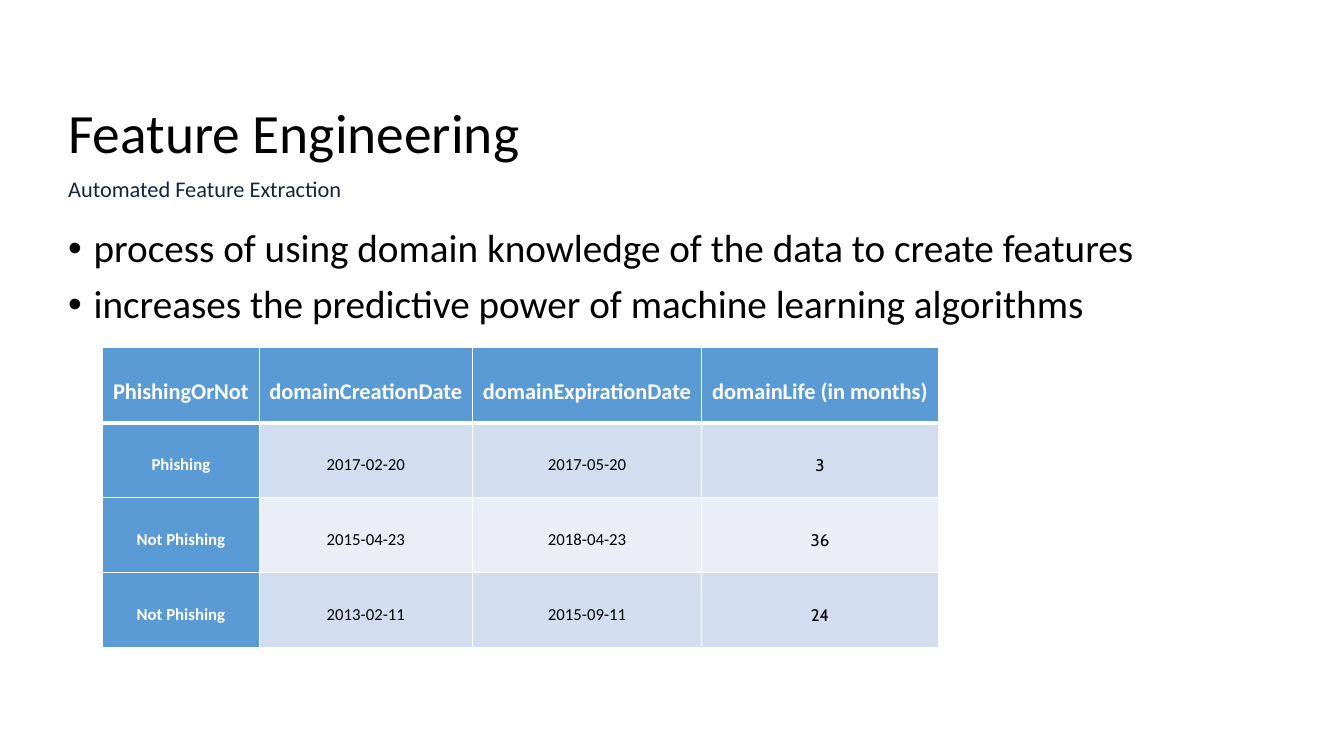
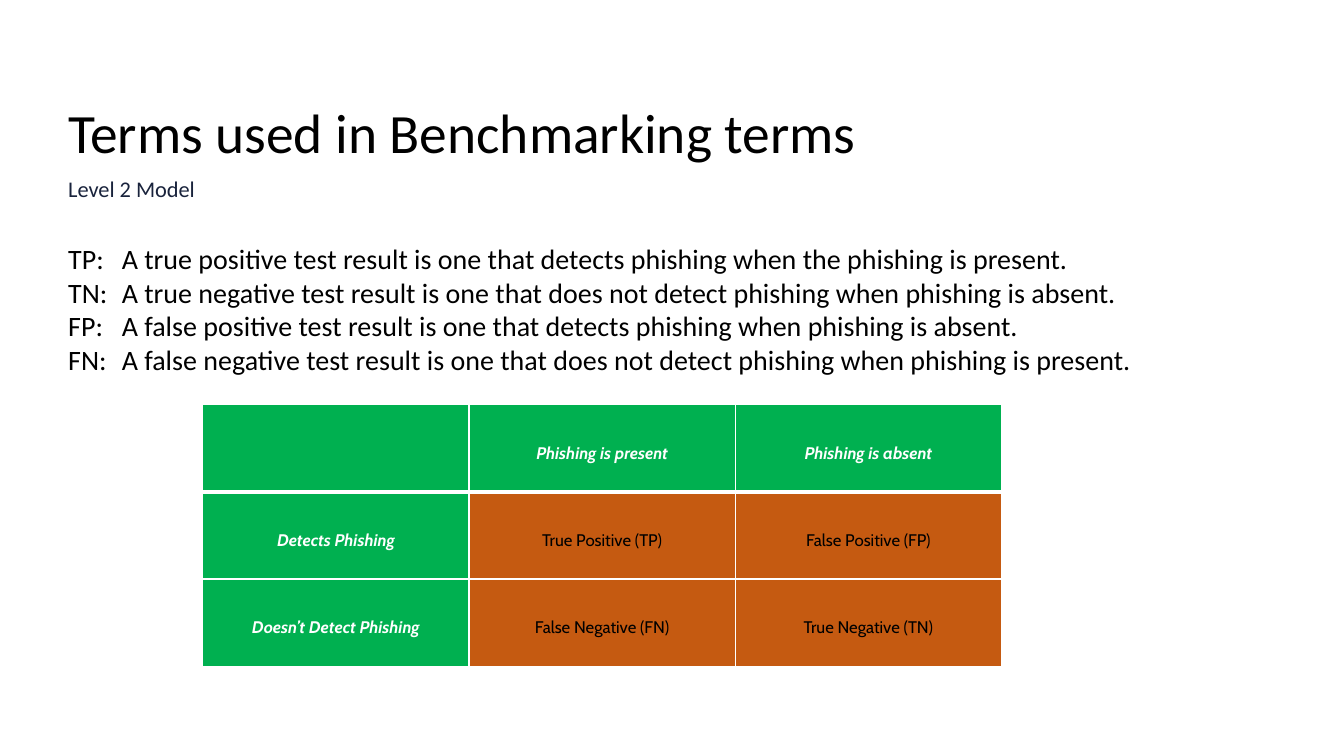
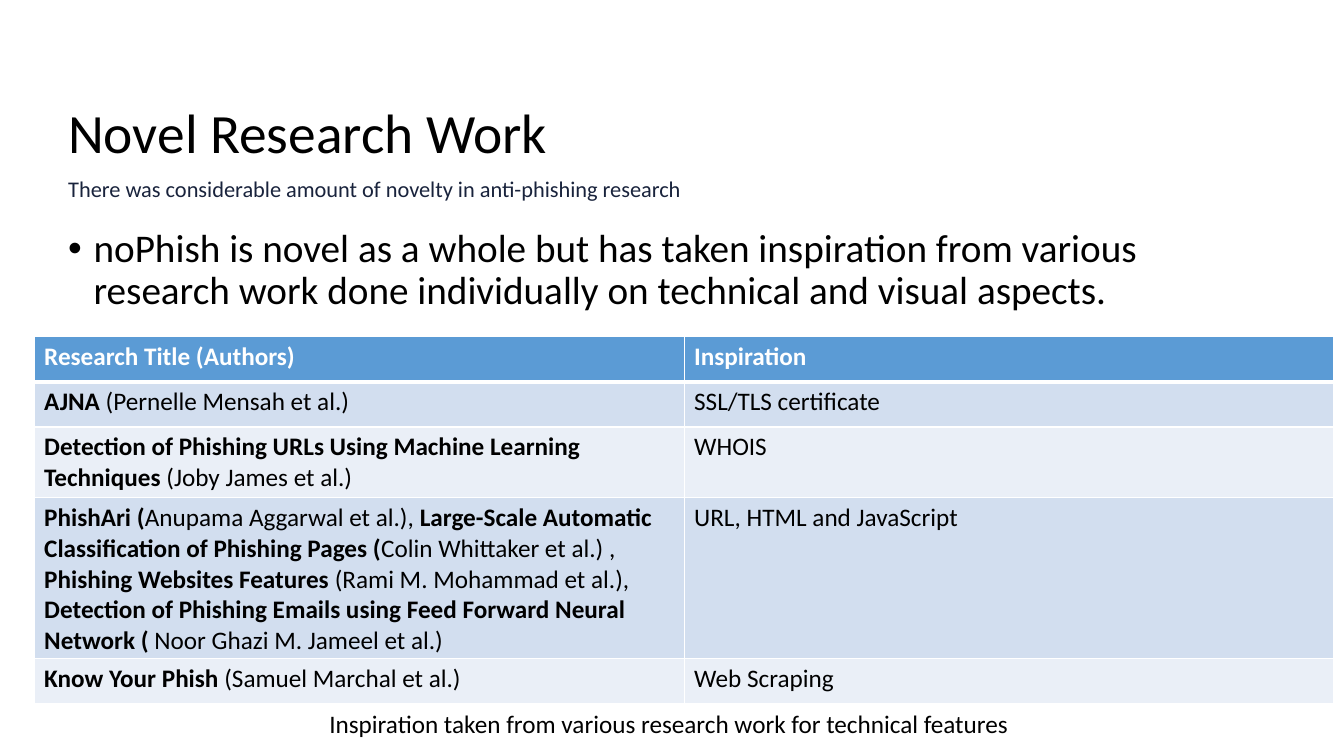
"""Build three slides on phishing detection: features, terms and related work."""
from dataclasses import dataclass

from lxml import etree
from pptx import Presentation
from pptx.dml.color import RGBColor
from pptx.enum.text import MSO_ANCHOR, PP_ALIGN
from pptx.oxml.ns import qn
from pptx.util import Cm, Pt

CENTER = PP_ALIGN.CENTER
TOP, MIDDLE = MSO_ANCHOR.TOP, MSO_ANCHOR.MIDDLE


@dataclass(frozen=True)
class Theme:
    """Hold the colours, fonts, type sizes and text column of the deck."""
    black: str = "000000"
    white: str = "FFFFFF"
    navy: str = "19233C"
    blue: str = "5B9BD5"
    blue_bands: tuple = ("D2DEEF", "EAEFF7")
    green: str = "00B050"
    orange: str = "C55A11"
    font: str = "Calibri"
    alt_font: str = "Cabin"
    title: float = 39.6
    bullet: int = 28
    definition: int = 20
    table: int = 18
    subtitle: int = 16
    small: int = 12
    left: float = 1.47
    width: float = 30.86


T = Theme()


@dataclass(frozen=True)
class TableLook:
    """Describe the fills and text formats of one table."""
    accent: str
    bands: tuple
    head: dict
    body: dict
    key: dict | None = None
    last: dict | None = None
    compact: bool = False


def sub(parent, tag, **attrs):
    """Append a DrawingML element and return it."""
    el = etree.SubElement(parent, qn(tag))
    for name, value in attrs.items():
        el.set(name, str(value))
    return el


def write(tf, text, size=T.table, color=T.black, font=T.font, bold=False,
          italic=False, align=None, line=None, before=0, bullet=False, tab=None):
    """Write one paragraph per line, toggling bold at each asterisk."""
    for i, content in enumerate(text.split("\n")):
        p = tf.add_paragraph() if i else tf.paragraphs[0]
        pPr = p._p.get_or_add_pPr()
        if bullet:
            pPr.set("marL", str(Cm(0.64)))
            pPr.set("indent", str(-Cm(0.64)))
            sub(pPr, "a:buFont", typeface="Arial")
            sub(pPr, "a:buChar", char="•")
        if tab:
            sub(sub(pPr, "a:tabLst"), "a:tab", pos=Cm(tab), algn="l")
        p.alignment = align
        p.line_spacing = line
        if i and before:
            p.space_before = Pt(before)
        for j, part in enumerate(content.split("*")):
            if not part:
                continue
            r = p.add_run()
            r.text = part
            r.font.name = font
            r.font.size = Pt(size)
            r.font.bold = bold != bool(j % 2)
            r.font.italic = italic
            r.font.color.rgb = RGBColor.from_string(color)


def add_text(slide, text, top, height, left=T.left, width=T.width, anchor=TOP, **fmt):
    """Add a wrapped text box."""
    tf = slide.shapes.add_textbox(Cm(left), Cm(top), Cm(width), Cm(height)).text_frame
    tf.word_wrap = True
    tf.vertical_anchor = anchor
    write(tf, text, **fmt)


def add_bullets(slide, text):
    """Add the bulleted body text."""
    add_text(slide, text, 5.64, 12.09, size=T.bullet, line=0.9, before=10, bullet=True)


def set_borders(cell, top, bottom):
    """Draw white cell borders with the given top and bottom widths."""
    tcPr = cell._tc.get_or_add_tcPr()
    for side, width in (("L", 1), ("R", 1), ("T", top), ("B", bottom)):
        ln = sub(tcPr, f"a:ln{side}", w=Pt(width))
        sub(sub(ln, "a:solidFill"), "a:srgbClr", val=T.white)


def add_table(slide, rows, left, top, widths, row_height, look):
    """Add a table with a header row and an optional key column."""
    table = slide.shapes.add_table(
        len(rows), len(widths), Cm(left), Cm(top),
        Cm(sum(widths)), Cm(row_height * len(rows))).table
    for column, width in zip(table.columns, widths):
        column.width = Cm(width)
    for i, row in enumerate(rows):
        for j, text in enumerate(row):
            cell = table.cell(i, j)
            set_borders(cell, 3 if i == 1 else 1, 3 if i == 0 else 1)
            fill, fmt = look.bands[(i - 1) % len(look.bands)], look.body
            if i == 0:
                fill, fmt = look.accent, look.head
            elif j == 0 and look.key:
                fill, fmt = look.accent, look.key
            elif j == len(row) - 1 and look.last:
                fmt = look.last
            cell.fill.solid()
            cell.fill.fore_color.rgb = RGBColor.from_string(fill)
            if look.compact:
                cell.vertical_anchor = MIDDLE
                cell.margin_left = cell.margin_right = Cm(0.18)
                cell.margin_top = cell.margin_bottom = 0
                fmt = fmt | {"align": CENTER, "line": 1.5}
            write(cell.text_frame, text, **fmt)


def add_slide(prs, title, subtitle):
    """Add a blank slide with the shared title and subtitle."""
    slide = prs.slides.add_slide(prs.slide_layouts[6])
    add_text(slide, title, 2.46, 1.93, anchor=MIDDLE, size=T.title, line=0.9)
    add_text(slide, subtitle, 4.37, 0.99, size=T.subtitle, color=T.navy, line=0.9)
    return slide


def feature_slide(prs):
    """Build the feature engineering slide."""
    s = add_slide(prs, "Feature Engineering", "Automated Feature Extraction")
    add_bullets(s, "process of using domain knowledge of the data to create features\n"
                   "increases the predictive power of machine learning algorithms")
    strong = {"color": T.white, "bold": True}
    look = TableLook(
        T.blue, T.blue_bands, head=strong | {"size": T.subtitle},
        body={"size": T.small}, key=strong | {"size": T.small},
        last={"size": T.small, "font": T.alt_font}, compact=True)
    rows = [
        ("PhishingOrNot", "domainCreationDate", "domainExpirationDate",
         "domainLife (in months)"),
        ("Phishing", "2017-02-20", "2017-05-20", "3"),
        ("Not Phishing", "2015-04-23", "2018-04-23", "36"),
        ("Not Phishing", "2013-02-11", "2015-09-11", "24"),
    ]
    add_table(s, rows, 2.59, 8.76, (3.94, 5.38, 5.77, 5.97), 1.89, look)


def terms_slide(prs):
    """Build the slide that defines the benchmarking terms."""
    s = add_slide(prs, "Terms used in Benchmarking terms", "Level 2 Model")
    terms = [
        ("TP:", "A true positive test result is one that detects phishing "
                "when the phishing is present."),
        ("TN:", "A true negative test result is one that does not detect phishing "
                "when phishing is absent."),
        ("FP:", "A false positive test result is one that detects phishing "
                "when phishing is absent."),
        ("FN:", "A false negative test result is one that does not detect phishing "
                "when phishing is present."),
    ]
    add_text(s, "\n".join("\t".join(term) for term in terms), 5.94, 3.68,
             anchor=MIDDLE, size=T.definition, tab=1.35)
    plain = {"size": T.small, "font": T.alt_font}
    strong = plain | {"color": T.white, "bold": True, "italic": True}
    look = TableLook(T.green, (T.orange,), head=strong, body=plain, key=strong,
                     compact=True)
    rows = [
        ("", "Phishing is present", "Phishing is absent"),
        ("Detects Phishing", "True Positive (TP)", "False Positive (FP)"),
        ("Doesn’t Detect Phishing", "False Negative (FN)", "True Negative (TN)"),
    ]
    add_table(s, rows, 5.11, 10.19, (6.71,) * 3, 2.2, look)


def research_slide(prs):
    """Build the slide on related research."""
    s = add_slide(prs, "Novel Research Work",
                  "There was considerable amount of novelty in anti-phishing research")
    add_bullets(s, "noPhish is novel as a whole but has taken inspiration from various "
                   "research work done individually on technical and visual aspects.")
    look = TableLook(T.blue, T.blue_bands, head={"color": T.white, "bold": True}, body={})
    rows = [
        ("Research Title (Authors)", "Inspiration"),
        ("*AJNA* (Pernelle Mensah et al.)", "SSL/TLS certificate"),
        ("*Detection of Phishing URLs Using Machine Learning*\n"
         "*Techniques *(Joby James et al.)", "WHOIS"),
        ("*PhishAri (*Anupama Aggarwal et al.), "
         "*Large-Scale Automatic Classification of Phishing Pages (*"
         "Colin Whittaker et al.) , "
         "*Phishing Websites Features *(Rami M. Mohammad et al.), "
         "*Detection of Phishing Emails using Feed Forward Neural Network (*"
         " Noor Ghazi M. Jameel et al.)", "URL, HTML and JavaScript"),
        ("*Know Your Phish *(Samuel Marchal et al.)", "Web Scraping"),
    ]
    add_table(s, rows, 0.86, 8.48, (16.38,) * 2, 1.14, look)
    add_text(s, "Inspiration taken from various research work for technical features",
             17.73, 1.02, left=8.05, width=19.13)


def main():
    """Build and save the deck."""
    prs = Presentation()
    prs.slide_width, prs.slide_height = Cm(33.87), Cm(19.05)
    feature_slide(prs)
    terms_slide(prs)
    research_slide(prs)
    prs.save("out.pptx")


if __name__ == "__main__":
    main()
